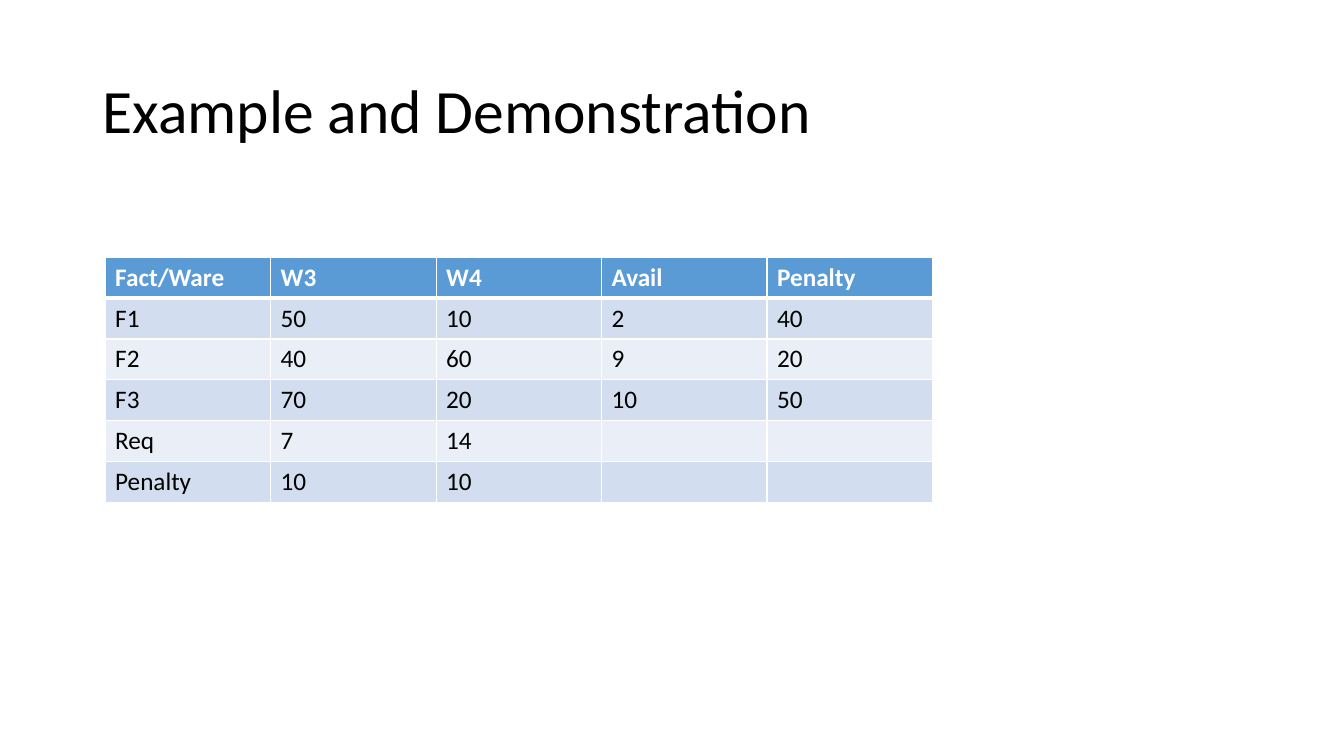
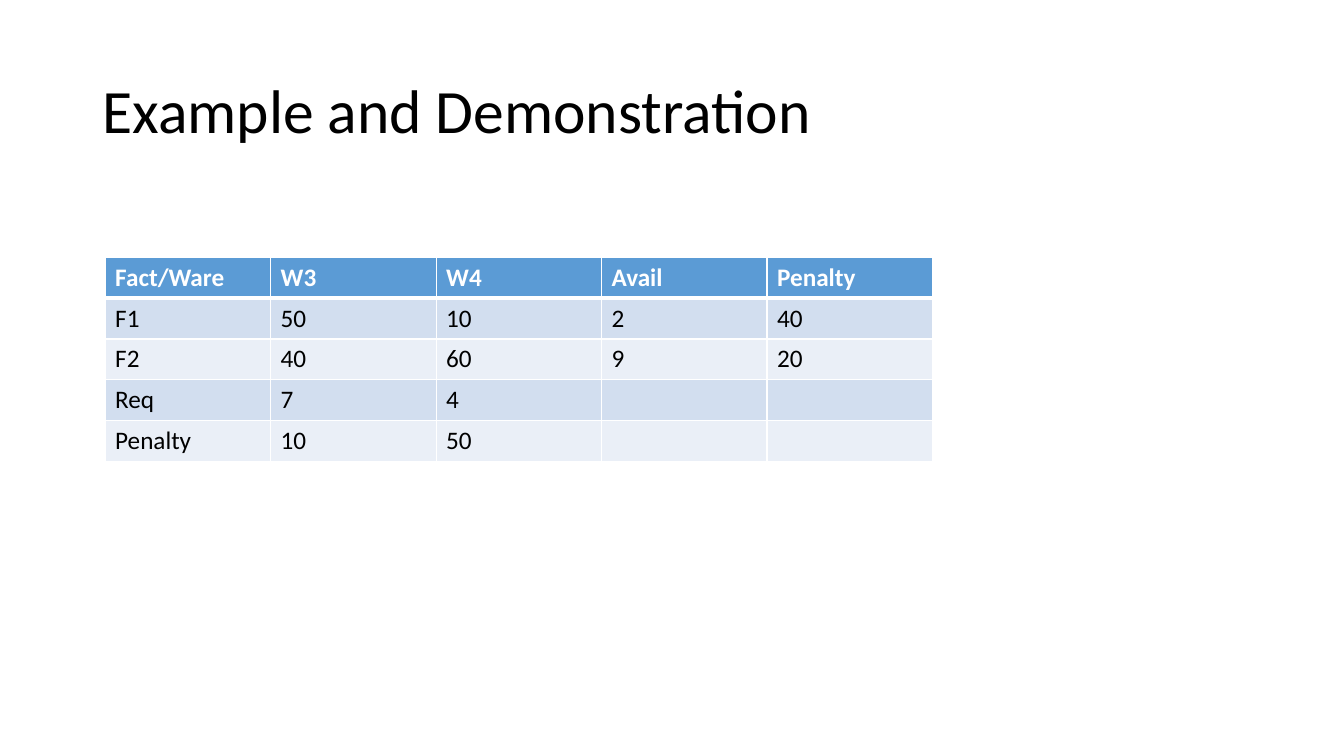
import pptx
import pptx.util
import pptx.dml.color
import pptx.enum.text
import lxml.etree
from pptx.util import Cm
from pptx.dml.color import RGBColor

TITLE = "Example and Demonstration"
HEADER = ("Fact/Ware", "W3", "W4", "Avail", "Penalty")
PROBLEMS = [
    [
        ("F1", "50", "10", "2", "40"),
        ("F2", "40", "60", "9", "20"),
        ("F3", "70", "20", "10", "50"),
        ("Req", "7", "14", "", ""),
        ("Penalty", "10", "10", "", ""),
    ],
    [
        ("F1", "50", "10", "2", "40"),
        ("F2", "40", "60", "9", "20"),
        ("Req", "7", "4", "", ""),
        ("Penalty", "10", "50", "", ""),
    ],
]

FONT = "Calibri"
BLACK = RGBColor(0x00, 0x00, 0x00)
WHITE = RGBColor(0xFF, 0xFF, 0xFF)
HEADER_BLUE = RGBColor(0x5B, 0x9B, 0xD5)
BANDS = (RGBColor(0xD2, 0xDE, 0xEF), RGBColor(0xEA, 0xEF, 0xF7))

TITLE_BOX = (Cm(2.33), Cm(1.01), Cm(29.21), Cm(3.68))
TABLE_LEFT, TABLE_TOP = Cm(2.65), Cm(6.48)
COLUMN_WIDTH, ROW_HEIGHT = Cm(4.17), Cm(1.03)
THIN, THICK = 1, 3
DRAWING_NS = "http://schemas.openxmlformats.org/drawingml/2006/main"


def write_text(frame, text, size=18, color=BLACK, bold=False, spacing=1.0):
    paragraph = frame.paragraphs[0]
    paragraph.alignment = pptx.enum.text.PP_ALIGN.LEFT
    paragraph.line_spacing = spacing
    paragraph.font.size = pptx.util.Pt(size)
    if text:
        run = paragraph.add_run()
        run.text = text
        run.font.name = FONT
        run.font.size = pptx.util.Pt(size)
        run.font.bold = bold
        run.font.color.rgb = color


def set_borders(cell, top, bottom):
    properties = cell._tc.get_or_add_tcPr()
    for side, points in (("L", THIN), ("R", THIN), ("T", top), ("B", bottom)):
        border = lxml.etree.SubElement(
            properties, f"{{{DRAWING_NS}}}ln{side}", w=str(pptx.util.Pt(points)))
        fill = lxml.etree.SubElement(border, f"{{{DRAWING_NS}}}solidFill")
        lxml.etree.SubElement(fill, f"{{{DRAWING_NS}}}srgbClr", val=str(WHITE))


def add_title(slide):
    title = slide.shapes.title
    title.left, title.top, title.width, title.height = TITLE_BOX
    title.text_frame.vertical_anchor = pptx.enum.text.MSO_ANCHOR.MIDDLE
    write_text(title.text_frame, TITLE, size=44, spacing=0.9)


def add_cost_table(slide, costs):
    rows = [HEADER, *costs]
    table = slide.shapes.add_table(
        len(rows), len(HEADER), TABLE_LEFT, TABLE_TOP,
        COLUMN_WIDTH * len(HEADER), ROW_HEIGHT * len(rows)).table
    for row_index, row in enumerate(rows):
        is_header = row_index == 0
        background = HEADER_BLUE if is_header else BANDS[(row_index - 1) % 2]
        for column_index, text in enumerate(row):
            cell = table.cell(row_index, column_index)
            set_borders(cell, top=THICK if row_index == 1 else THIN,
                        bottom=THICK if is_header else THIN)
            cell.fill.solid()
            cell.fill.fore_color.rgb = background
            write_text(cell.text_frame, text, bold=is_header,
                       color=WHITE if is_header else BLACK)


def main():
    deck = pptx.Presentation()
    deck.slide_width, deck.slide_height = Cm(33.87), Cm(19.05)
    title_only = deck.slide_layouts[5]
    for costs in PROBLEMS:
        slide = deck.slides.add_slide(title_only)
        add_title(slide)
        add_cost_table(slide, costs)
    deck.save("out.pptx")


if __name__ == "__main__":
    main()
